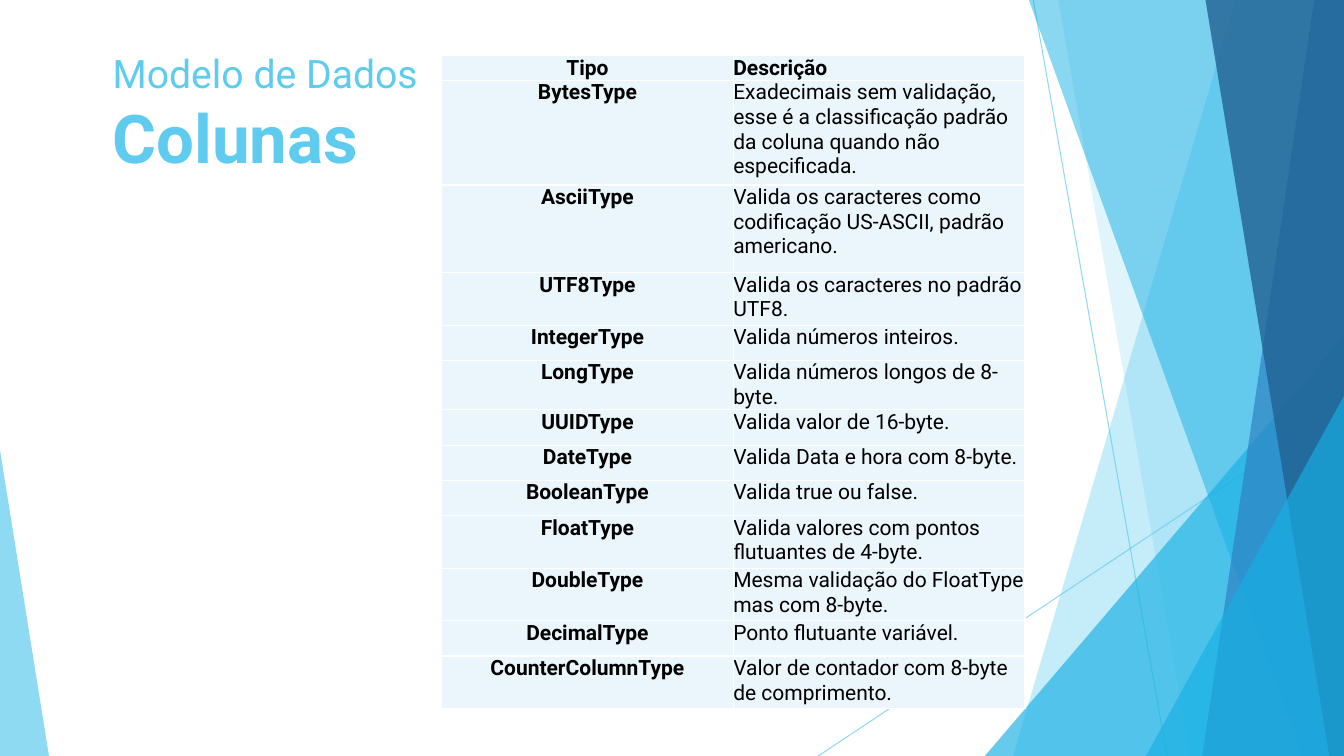
import pptx
import pptx.util
import pptx.dml.color
import pptx.enum.shapes
import pptx.enum.text
import pptx.oxml
import pptx.oxml.ns

Cm, Pt = pptx.util.Cm, pptx.util.Pt
ALIGN = pptx.enum.text.PP_ALIGN

# Content
FONT = "Roboto"
COLOURS = {"sky": "5FCBEF", "cyan": "17B0E4", "blue": "2E83C3", "navy": "226292",
           "cell": "EAF6FC", "border": "FFFFFF", "text": "000000"}
WIDTH, HEIGHT = 33.87, 19.05

TITLE_LINES = [("Modelo de Dados", {"size": Pt(28), "bold": False}),
               ("Colunas", {"size": Pt(48), "bold": True})]

# Type, description, row height in cm
COLUMN_TYPES = [
    ("Tipo", "Descrição", 0.61),
    ("BytesType", "Exadecimais sem validação, esse é a classificação padrão "
                  "da coluna quando não especificada.", 2.64),
    ("AsciiType", "Valida os caracteres como codificação US-ASCII, padrão americano.", 2.21),
    ("UTF8Type", "Valida os caracteres no padrão UTF8.", 1.32),
    ("IntegerType", "Valida números inteiros.", 0.89),
    ("LongType", "Valida números longos de 8-byte.", 1.22),
    ("UUIDType", "Valida valor de 16-byte.", 0.89),
    ("DateType", "Valida Data e hora com 8-byte.", 0.89),
    ("BooleanType", "Valida true ou false.", 0.89),
    ("FloatType", "Valida valores com pontos flutuantes de 4-byte.", 1.32),
    ("DoubleType", "Mesma validação do FloatType mas com 8-byte.", 1.32),
    ("DecimalType", "Ponto flutuante variável.", 0.89),
    ("CounterColumnType", "Valor de contador com 8-byte de comprimento.", 1.32),
]
TABLE_LEFT, TABLE_TOP, COLUMN_WIDTH = 11.13, 1.4, 7.35

# Decoration in cm: start and end of each ray; colour, opacity and corners of each facet
RAYS = [((26.04, 0), (29.41, HEIGHT)), ((20.62, HEIGHT), (WIDTH, 10.24))]
FACETS = [
    ("sky", 70, [(-0.03, 11.15), (1.24, 19.08), (-0.03, HEIGHT)]),
    ("sky", 36, [(31.14, 0), (25.53, HEIGHT), (WIDTH, HEIGHT), (WIDTH, 0)]),
    ("sky", 20, [(26.67, 0), (30, HEIGHT), (WIDTH, HEIGHT), (WIDTH, 0)]),
    ("cyan", 66, [(24.82, HEIGHT), (WIDTH, 8.46), (WIDTH, HEIGHT)]),
    ("cyan", 50, [(25.93, 0), (32.82, HEIGHT), (WIDTH, HEIGHT), (WIDTH, 0)]),
    ("blue", 70, [(33.12, 0), (30.3, HEIGHT), (WIDTH, HEIGHT), (WIDTH, 0)]),
    ("navy", 80, [(30.38, 0), (33.5, HEIGHT), (WIDTH, HEIGHT), (WIDTH, 0)]),
    ("cyan", 66, [(28.88, HEIGHT), (WIDTH, 9.98), (WIDTH, HEIGHT)]),
]


def apply(target, values):
    for key, value in values.items():
        setattr(target, key, value)


def paint(fill, colour, opacity=100):
    fill.solid()
    fill.fore_color.rgb = pptx.dml.color.RGBColor.from_string(COLOURS[colour])
    if opacity < 100:
        for tint in fill._xPr.iter(pptx.oxml.ns.qn("a:srgbClr")):
            alpha = pptx.oxml.parse_xml(
                f'<a:alpha {pptx.oxml.ns.nsdecls("a")} val="{opacity * 1000}"/>')
            tint.append(alpha)


def write(run, text, colour, values):
    run.text = text
    apply(run.font, {"name": FONT, **values})
    paint(run.font.fill, colour)


def draw_ray(shapes, start, end):
    ray = shapes.add_connector(pptx.enum.shapes.MSO_CONNECTOR.STRAIGHT,
                               *map(Cm, start + end))
    ray.line.width = Pt(0.75)
    paint(ray.line.fill, "sky", 70)
    ray._element.spPr.append(
        pptx.oxml.parse_xml(f'<a:effectLst {pptx.oxml.ns.nsdecls("a")}/>'))


def draw_facet(shapes, colour, opacity, corners):
    first, *others = [(Cm(x), Cm(y)) for x, y in corners]
    outline = shapes.build_freeform(*first)
    outline.add_line_segments(others, close=True)
    facet = outline.convert_to_shape()
    facet.shadow.inherit = False
    facet.line.fill.background()
    paint(facet.fill, colour, opacity)


def add_borders(cell):
    properties = cell._tc.get_or_add_tcPr()
    for position, side in enumerate(("lnL", "lnR", "lnT", "lnB")):
        properties.insert(position, pptx.oxml.parse_xml(
            f'<a:{side} {pptx.oxml.ns.nsdecls("a")} w="12700"><a:solidFill>'
            f'<a:srgbClr val="{COLOURS["border"]}"/></a:solidFill></a:{side}>'))


def draw_types(shapes):
    heights = [height for _, _, height in COLUMN_TYPES]
    types = shapes.add_table(len(COLUMN_TYPES), 2, Cm(TABLE_LEFT), Cm(TABLE_TOP),
                             Cm(2 * COLUMN_WIDTH), Cm(sum(heights))).table
    apply(types, {"first_row": False, "horz_banding": False})
    for column in types.columns:
        column.width = Cm(COLUMN_WIDTH)
    for index, (name, description, height) in enumerate(COLUMN_TYPES):
        types.rows[index].height = Cm(height)
        entries = [(name, True, ALIGN.CENTER), (description, index == 0, ALIGN.LEFT)]
        for position, (text, bold, alignment) in enumerate(entries):
            cell = types.cell(index, position)
            apply(cell, {"margin_left": 0, "margin_right": 0,
                         "margin_top": 0, "margin_bottom": 0})
            paint(cell.fill, "cell")
            add_borders(cell)
            paragraph = cell.text_frame.paragraphs[0]
            paragraph.alignment = alignment
            write(paragraph.add_run(), text, "text", {"size": Pt(15), "bold": bold})


def draw_title(shapes):
    frame = shapes.add_textbox(Cm(2.59), Cm(1.02), Cm(23.88), Cm(3.66)).text_frame
    apply(frame, {"word_wrap": True,
                  "vertical_anchor": pptx.enum.text.MSO_ANCHOR.MIDDLE})
    paragraph = frame.paragraphs[0]
    for index, (text, values) in enumerate(TITLE_LINES):
        if index:
            paragraph.add_line_break()
        write(paragraph.add_run(), text, "sky", values)


def main():
    deck = pptx.Presentation()
    apply(deck, {"slide_width": Cm(WIDTH), "slide_height": Cm(HEIGHT)})
    shapes = deck.slides.add_slide(deck.slide_layouts[6]).shapes

    # Background decoration
    for start, end in RAYS:
        draw_ray(shapes, start, end)
    for colour, opacity, corners in FACETS:
        draw_facet(shapes, colour, opacity, corners)

    # Table and title
    draw_types(shapes)
    draw_title(shapes)
    deck.save("out.pptx")


if __name__ == "__main__":
    main()
